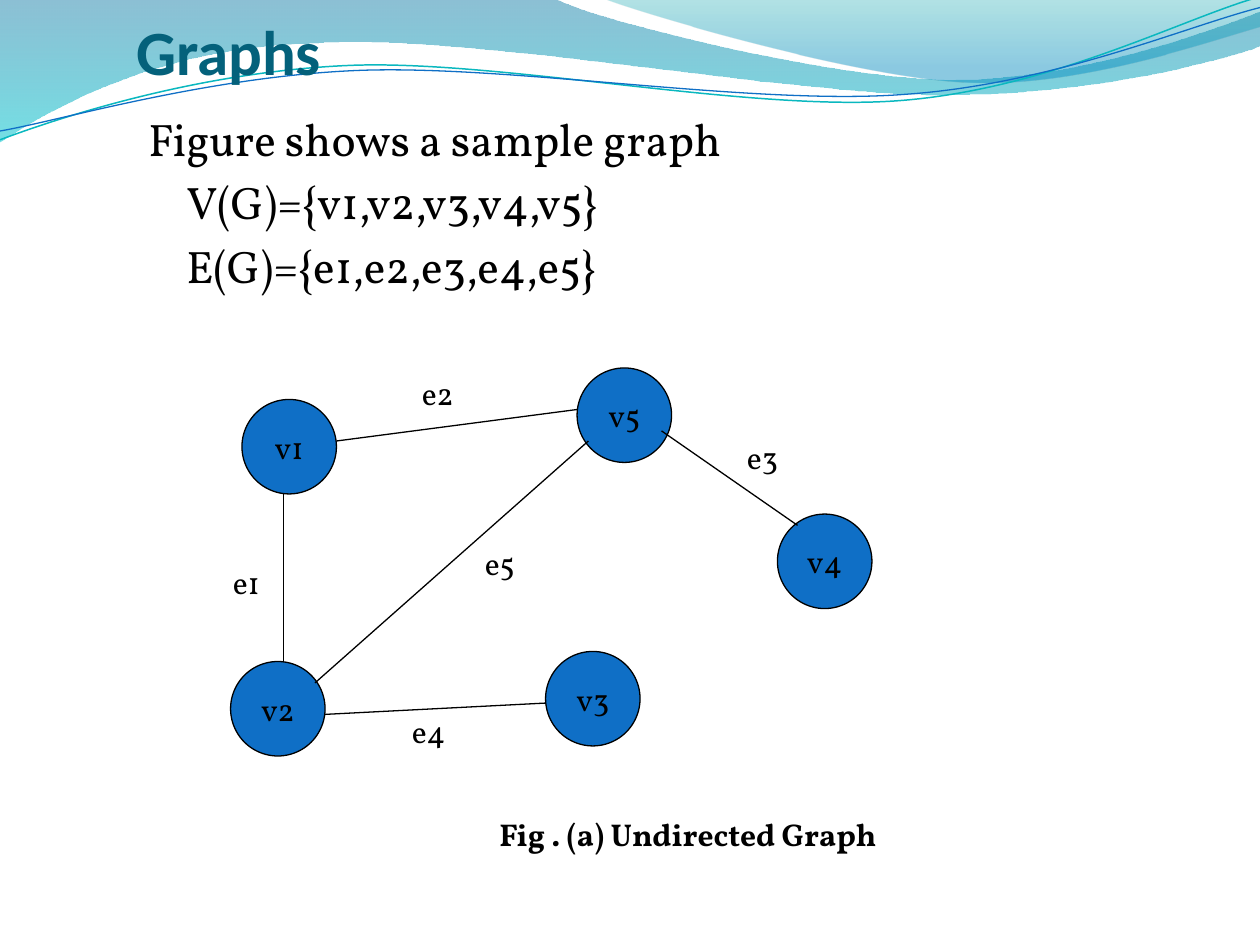
from lxml import etree
from pptx import Presentation
from pptx.dml.color import RGBColor
from pptx.enum.shapes import MSO_CONNECTOR, MSO_SHAPE
from pptx.enum.text import MSO_ANCHOR, PP_ALIGN
from pptx.oxml.ns import qn
from pptx.util import Inches, Pt

OVAL = MSO_SHAPE.OVAL
STRAIGHT = MSO_CONNECTOR.STRAIGHT
TOP, MIDDLE, BOTTOM = MSO_ANCHOR.TOP, MSO_ANCHOR.MIDDLE, MSO_ANCHOR.BOTTOM
LEFT, CENTER = PP_ALIGN.LEFT, PP_ALIGN.CENTER

COLORS = {
    "ink": "000000",
    "title": "04617B",
    "node": "0F6FC6",
    "teal_line": "0AB8BF",
    "deep_blue": "0074A1",
    "cyan": "00C6CF",
    "teal": "00A1A9",
    "sky": "008BBF",
}
NODE_SIZE = 0.75

BANDS = [
    ([(0, 0), (4.4, -0.01),
      (4.76, 0.17, 6.64, 0.63, 7.58, 0.63), (8.53, 0.63, 9.58, 0.26, 10, 0.09),
      (10.01, 0.36),
      (9.83, 0.44, 8.7, 0.76, 7.46, 0.75), (6.22, 0.75, 3.82, 0.28, 2.57, 0.34),
      (1.29, 0.36, 0.46, 0.83, -0.01, 1.13), (0, 0)],
     [(0, "deep_blue", 45), (100, "cyan", 55)]),
    ([(4.79, -0.01),
      (5.09, 0.11, 6.82, 0.62, 7.69, 0.65), (8.56, 0.69, 9.61, 0.32, 10, 0.21),
      (10, 0), (4.79, -0.01)],
     [(0, "teal", 30), (80, "sky", 45)]),
]
WAVES = [
    ([(0, 1.11), (0.48, 0.93, 1.58, 0.57, 2.77, 0.52),
      (3.95, 0.47, 5.93, 0.89, 7.13, 0.8), (8.33, 0.71, 9.38, 0.15, 9.98, -0.02)],
     "teal_line", 0.85),
    ([(0, 1.04), (0.47, 0.96, 1.64, 0.61, 2.83, 0.56),
      (4.03, 0.51, 5.97, 0.84, 7.17, 0.75), (8.36, 0.67, 9.41, 0.21, 10, 0.06)],
     "node", 0.75),
]
NODES = {"v1": (1.92, 3.17), "v5": (4.58, 2.92), "v4": (6.17, 4.08),
         "v2": (1.83, 5.25), "v3": (4.33, 5.17)}
EDGES = [
    ("e2", (2.67, 3.5), (4.58, 3.25), (3.25, 2.92)),
    ("e1", (2.25, 3.92), (2.25, 5.25), (1.75, 4.42)),
    ("e4", (2.58, 5.67), (4.33, 5.58), (3.17, 5.6)),
    ("e3", (5.25, 3.42), (6.33, 4.17), (5.83, 3.43)),
    ("e5", (4.67, 3.5), (2.5, 5.42), (3.75, 4.27)),
]


def write(frame, text, size=18, font="Vollkorn", color="ink", bold=False,
          align=LEFT, anchor=TOP, wrap=True, hanging=0, gap=0):
    """Fill a text frame, one paragraph a line, indenting all lines but the first."""
    frame.word_wrap = wrap
    frame.vertical_anchor = anchor
    for index, line in enumerate(text.split("\n")):
        para = frame.add_paragraph() if index else frame.paragraphs[0]
        para.alignment = align
        if index:
            para.space_before = Pt(gap)
        if hanging:
            properties = para._p.get_or_add_pPr()
            properties.set("marL", str(Inches(hanging)))
            properties.set("indent", str(0 if index else -Inches(hanging)))
        span = para.add_run()
        span.text = line
        span.font.size = Pt(size)
        span.font.name = font
        span.font.bold = bold
        span.font.color.rgb = RGBColor.from_string(COLORS[color])


class GraphPage:
    """Draws styled elements on one slide."""

    def __init__(self, page):
        """Keep the slide's shapes."""
        self.shapes = page.shapes

    def stroke(self, line, color="ink", width=0.75):
        """Set the colour and width of a line."""
        line.color.rgb = RGBColor.from_string(COLORS[color])
        line.width = Pt(width)

    def outline(self, steps, close):
        """Build a freeform whose six-number steps are cubic curves."""
        points = [(Inches(step[-2]), Inches(step[-1])) for step in steps]
        builder = self.shapes.build_freeform(*points[0])
        builder.add_line_segments(points[1:], close=close)
        shape = builder.convert_to_shape()
        shape.shadow.inherit = False
        segments = list(shape._element.spPr.iter(qn("a:lnTo")))
        for step, segment in zip(steps[1:], segments):
            if len(step) == 6:
                curve = etree.Element(qn("a:cubicBezTo"))
                for x, y in zip(step[::2], step[1::2]):
                    etree.SubElement(curve, qn("a:pt"), x=str(Inches(x) - shape.left),
                                     y=str(Inches(y) - shape.top))
                segment.getparent().replace(segment, curve)
        return shape

    def band(self, steps, stops):
        """Add a band with a see-through vertical gradient."""
        shape = self.outline(steps, True)
        shape.line.fill.background()
        shape.fill.gradient()
        shape.fill.gradient_angle = 270
        stop_list = shape._element.spPr.find(qn("a:gradFill")).find(qn("a:gsLst"))
        for old_stop in list(stop_list):
            stop_list.remove(old_stop)
        for position, color, opacity in stops:
            stop = etree.SubElement(stop_list, qn("a:gs"), pos=str(position * 1000))
            tint = etree.SubElement(stop, qn("a:srgbClr"), val=COLORS[color])
            etree.SubElement(tint, qn("a:alpha"), val=str(opacity * 1000))

    def wave(self, steps, color, width):
        """Add an open curved line."""
        shape = self.outline(steps, False)
        shape.fill.background()
        self.stroke(shape.line, color, width)

    def text(self, text, left, top, width, height, **style):
        """Add a text box."""
        box = self.shapes.add_textbox(Inches(left), Inches(top),
                                      Inches(width), Inches(height))
        write(box.text_frame, text, **style)
        return box

    def node(self, name, left, top):
        """Add a vertex circle."""
        circle = self.shapes.add_shape(OVAL, Inches(left), Inches(top),
                                       Inches(NODE_SIZE), Inches(NODE_SIZE))
        circle.shadow.inherit = False
        circle.fill.solid()
        circle.fill.fore_color.rgb = RGBColor.from_string(COLORS["node"])
        self.stroke(circle.line)
        write(circle.text_frame, name, align=CENTER, anchor=MIDDLE, wrap=False)

    def edge(self, start, end):
        """Add a straight edge between two points."""
        ends = [Inches(value) for value in start + end]
        line = self.shapes.add_connector(STRAIGHT, *ends)
        self.stroke(line.line)
        etree.SubElement(line._element.spPr, qn("a:effectLst"))


def main():
    """Build and save the slide."""
    deck = Presentation()
    deck.slide_width, deck.slide_height = Inches(10), Inches(7.5)
    page = GraphPage(deck.slides.add_slide(deck.slide_layouts[6]))
    for steps, stops in BANDS:
        page.band(steps, stops)
    for steps, color, width in WAVES:
        page.wave(steps, color, width)
    title = page.text("Graphs", 1.08, 0.17, 8.42, 0.53, size=36, font="Calibri",
                      color="title", bold=True, anchor=BOTTOM)
    frame = title.text_frame
    frame.margin_left = frame.margin_right = frame.margin_bottom = 0
    page.text("Figure shows a sample graph\nV(G)={v1,v2,v3,v4,v5}\nE(G)={e1,e2,e3,e4,e5}",
              1.08, 0.83, 8.42, 2, size=26, hanging=0.3, gap=5.2)
    for name, place in NODES.items():
        page.node(name, *place)
    for _, start, end, _ in EDGES:
        page.edge(start, end)
    for name, _, _, place in EDGES:
        page.text(name, *place, 0.83, 0.4)
    page.text("Fig . (a) Undirected Graph", 2.67, 6.42, 5.58, 0.4, bold=True, align=CENTER)
    deck.save("out.pptx")


if __name__ == "__main__":
    main()
